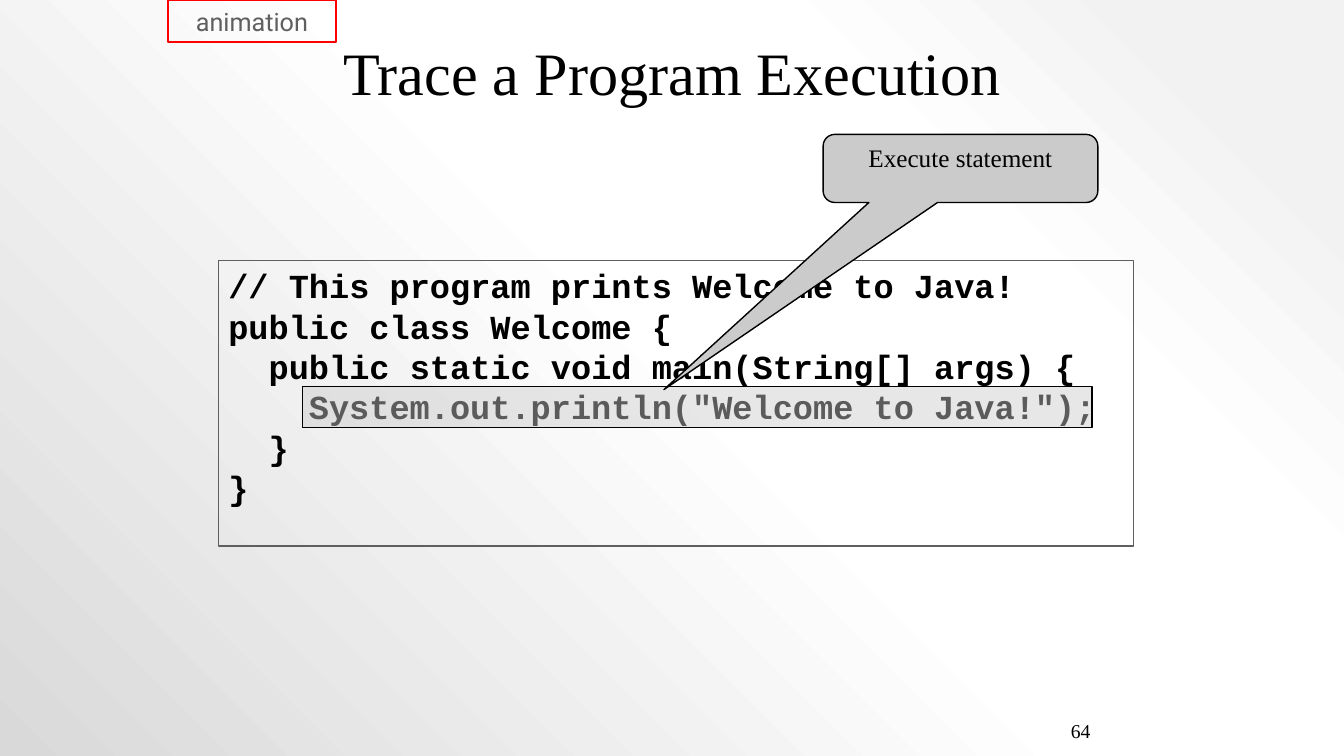
from pptx import Presentation
from pptx.dml.color import RGBColor as Rgb
from pptx.enum.shapes import MSO_SHAPE as Kind
from pptx.enum.text import MSO_ANCHOR as Anchor, PP_ALIGN as Align
from pptx.oxml import parse_xml
from pptx.oxml.ns import qn
from pptx.util import Inches, Pt

UNIT = Inches(1 / 12)  # grid of 160 columns and 90 rows
CHAR = 0.2  # width of one code letter, inches
HUES = {"ink": "000000", "gray": "5F5F5F", "box": "CBCBCB", "red": "FF0000",
        "pale": "F2F2F2", "white": "FFFFFF", "dark": "D9D9D9"}
STOPS = [(10, "pale"), (28, "white"), (48, "white"), (100, "dark")]
SERIF = "Times New Roman"
CODE = [  # depth in letters, text
    (0, "// This program prints Welcome to Java!"),
    (0, "public class Welcome {"),
    (2, "public static void main(String[] args) {"),
    (4, 'System.out.println("Welcome to Java!");'),
    (2, "}"),
    (0, "}"),
]


def hue(name):
    return Rgb.from_string(HUES[name])


def paint(slide):
    """Fill the background with a gradient centred on the top right corner."""
    slide.background.fill.solid()
    back = slide.element.find(".//" + qn("p:bgPr"))
    back.remove(back[0])
    stops = "".join(f'<a:gs pos="{at * 1000}"><a:srgbClr val="{HUES[name]}"/></a:gs>'
                    for at, name in STOPS)
    back.insert(0, parse_xml(
        '<a:gradFill xmlns:a="http://schemas.openxmlformats.org/drawingml/2006/main"'
        f' rotWithShape="1"><a:gsLst>{stops}</a:gsLst><a:path path="circle">'
        '<a:fillToRect l="100000" b="100000"/></a:path></a:gradFill>'))


def place(cells):
    return [round(n * UNIT) for n in cells]


def box(slide, cells, line, width=1, fill=None, kind=Kind.RECTANGLE):
    shape = slide.shapes.add_shape(kind, *place(cells))
    shape.shadow.inherit = False
    shape.line.color.rgb = hue(line)
    shape.line.width = Pt(width)
    if fill:
        shape.fill.solid()
        shape.fill.fore_color.rgb = hue(fill)
    else:
        shape.fill.background()
    return shape


def label(slide, cells):
    return slide.shapes.add_textbox(*place(cells))


def write(shape, lines, size, face=SERIF, ink="ink", bold=False,
          align=Align.CENTER, anchor=Anchor.MIDDLE, wrap=True):
    """Set the lines, given as (depth, text), one paragraph each."""
    frame = shape.text_frame
    frame.word_wrap, frame.vertical_anchor = wrap, anchor
    look = {"size": Pt(size), "name": face, "bold": bold}
    for i, (depth, text) in enumerate(lines):
        para = frame.add_paragraph() if i else frame.paragraphs[0]
        para.alignment = align
        if depth:
            para._p.get_or_add_pPr().set("marL", str(Inches(depth * CHAR)))
        run = para.add_run()
        run.text = text
        for key, value in look.items():
            setattr(run.font, key, value)
        run.font.color.rgb = hue(ink)
    return frame


def fade(shape, share):
    """Make the fill opaque by the given percentage."""
    color = shape.element.spPr.find(qn("a:solidFill"))[0]
    color.append(color.makeelement(qn("a:alpha"), {"val": str(share * 1000)}))


def main():
    deck = Presentation()
    deck.slide_width, deck.slide_height = 160 * UNIT, 90 * UNIT
    slide = deck.slides.add_slide(deck.slide_layouts[6])
    paint(slide)

    write(label(slide, (106, 84, 25, 6)), [(0, "64")], 14,
          align=Align.RIGHT, wrap=False)

    code = write(box(slide, (26, 31, 109, 34), "gray", 0.75), CODE, 24,
                 "Courier New", bold=True, align=Align.LEFT, anchor=Anchor.TOP)
    code.paragraphs[0].space_before = Pt(6)

    write(label(slide, (29, 5, 102, 7)), [(0, "Trace a Program Execution")], 43)

    fade(box(slide, (36, 46, 94, 4.9), "ink", fill="box"), 45)

    call = box(slide, (98, 16, 32.7, 8.1), "ink", fill="box",
               kind=Kind.ROUNDED_RECTANGULAR_CALLOUT)
    for i, value in enumerate((-1.08, 3.25, 0.17)):
        call.adjustments[i] = value
    write(call, [(0, "Execute statement")], 18, anchor=Anchor.TOP)

    write(box(slide, (20, 0, 20, 5), "red"), [(0, "animation")], 18,
          "Roboto", "gray", wrap=False)

    deck.save("out.pptx")


if __name__ == "__main__":
    main()
